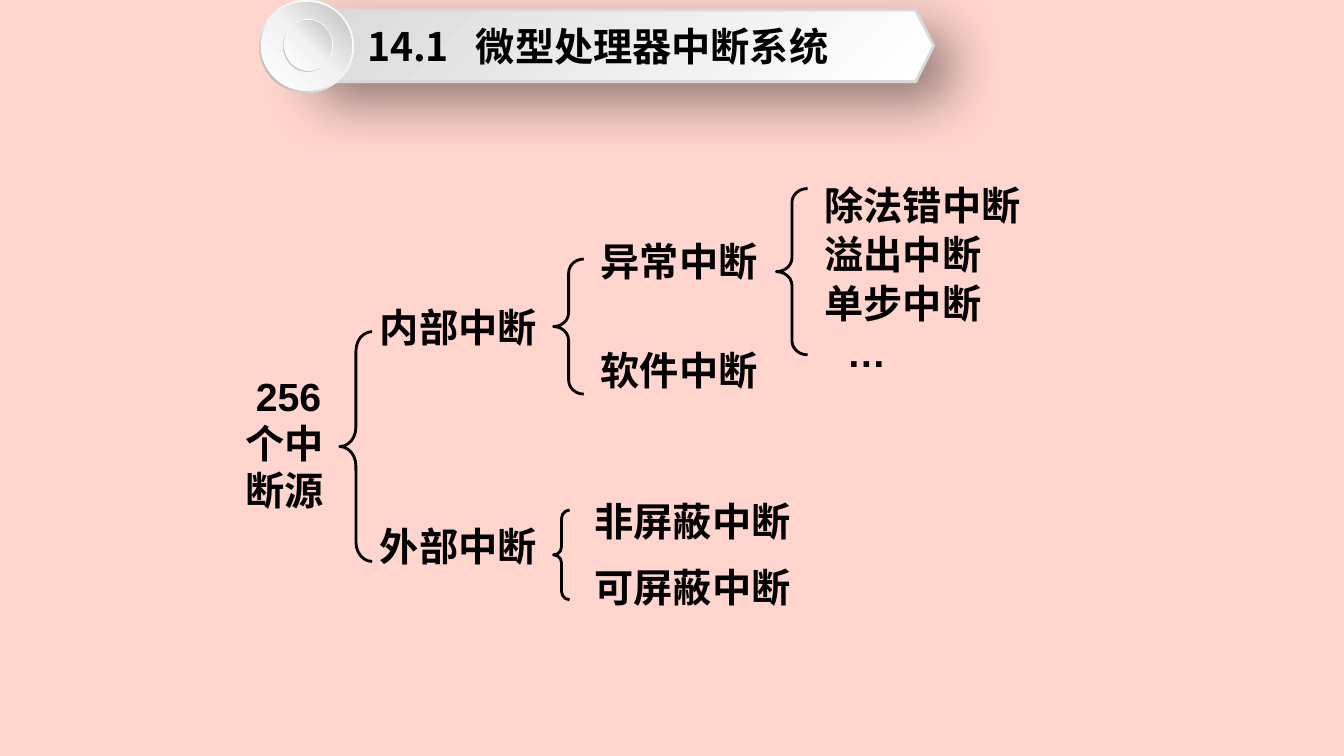
import pptx
import pptx.dml.color
import pptx.enum.lang
import pptx.enum.shapes
import pptx.enum.text
import pptx.oxml
import pptx.oxml.ns
import pptx.util
from pptx.util import Inches

SHAPE = pptx.enum.shapes.MSO_SHAPE
ANCHOR = pptx.enum.text.MSO_ANCHOR
NAMESPACE = pptx.oxml.ns.nsdecls("a")

BACKGROUND = "FFD5CD"
BLACK = "000000"
TITLE = "14.1\t微型处理器中断系统"
TITLE_TAB = 1.08

BANNER = (2.89, 0.1, 6.37, 0.71)
BANNER_STOPS = [(0, "FFFFFF"), (100, "D9D9D9")]
RIM_STOPS = [(0, "FFFFFF"), (55, "F2F2F2"), (100, "A6A6A6")]
DISC_STOPS = [(0, "FFFFFF"), (51, "F2F2F2"), (100, "BFBFBF")]
# Outer box of each rim, and how far its disc is inset
BUTTONS = [((2.57, 0, 0.94, 0.92), 0.02), ((2.81, 0.19, 0.49, 0.52), 0.01)]

# Box, points between lines, lines as (text, indent in inches)
LABELS = [
    ((2.34, 3.64, 1.17, 1.39), 0, [("256个中断源", 0.1)]),
    ((3.67, 2.96, 3.08, 3.25), 123, [("内部中断", 0), ("外部中断", 0)]),
    ((5.86, 2.31, 1.99, 1.7), 44, [("异常中断", 0), ("软件中断", 0)]),
    ((5.8, 4.88, 2.25, 1.19), 14, [("非屏蔽中断", 0), ("可屏蔽中断", 0)]),
    ((8.08, 1.75, 2.45, 2.04), 1.4,
     [("除法错中断", 0), ("溢出中断", 0), ("单步中断", 0), ("…", 0.22)]),
]

# Box, curl of the ends
BRACES = [
    ((3.37, 3.29, 0.32, 2.28), 0.6),
    ((5.49, 2.57, 0.3, 1.34), 0.46),
    ((5.49, 5.06, 0.16, 0.89), 0.51),
    ((7.7, 1.87, 0.31, 1.65), 0.44),
]


def color(value):
    return pptx.dml.color.RGBColor.from_string(value)


def place(box):
    return [Inches(length) for length in box]


def add_preset(page, preset, box, line=None):
    shape = page.shapes.add_shape(preset, *place(box))
    shape.shadow.inherit = False
    shape.fill.background()
    if line:
        shape.line.color.rgb = color(line)
        shape.line.width = pptx.util.Pt(2)
    else:
        shape.line.fill.background()
    return shape


def fill_gradient(shape, stops, angle):
    """Fill with (percent, colour) stops; the angle runs clockwise."""
    marks = "".join(
        f'<a:gs pos="{percent * 1000}"><a:srgbClr val="{value}"/></a:gs>'
        for percent, value in stops)
    gradient = pptx.oxml.parse_xml(
        f'<a:gradFill {NAMESPACE} rotWithShape="1"><a:gsLst>{marks}</a:gsLst>'
        f'<a:lin ang="{angle * 60000}" scaled="0"/></a:gradFill>')
    properties = shape.element.spPr
    blank = properties.find(pptx.oxml.ns.qn("a:noFill"))
    properties.replace(blank, gradient)


def cast_shadow(shape, opacity, blur, distance, angle):
    effects = shape.element.spPr.find(pptx.oxml.ns.qn("a:effectLst"))
    effects.append(pptx.oxml.parse_xml(
        f'<a:outerShdw {NAMESPACE} blurRad="{pptx.util.Pt(blur)}" '
        f'dist="{pptx.util.Pt(distance)}" dir="{angle * 60000}" algn="tl" '
        f'rotWithShape="0"><a:srgbClr val="{BLACK}">'
        f'<a:alpha val="{opacity * 1000}"/></a:srgbClr></a:outerShdw>'))


def write(para, text, font="Arial", size=28, bold=True, ink=BLACK):
    span = para.add_run()
    span.text = text
    span.font.size = pptx.util.Pt(size)
    span.font.bold = bold
    span.font.color.rgb = color(ink)
    span.font.name = font
    span.font.language_id = pptx.enum.lang.MSO_LANGUAGE_ID.SIMPLIFIED_CHINESE
    span.font._element.append(pptx.oxml.parse_xml(
        f'<a:ea {NAMESPACE} typeface="{font}"/>'))


def add_title(page):
    title = page.shapes.title
    title.left, title.top, title.width, title.height = place((3.64, 0.1, 5.3, 0.71))
    title.element.getparent().append(title.element)
    frame = title.text_frame
    frame.auto_size = pptx.enum.text.MSO_AUTO_SIZE.NONE
    frame.vertical_anchor = ANCHOR.MIDDLE
    frame.margin_left = frame.margin_right = 0
    para = frame.paragraphs[0]
    para.alignment = pptx.enum.text.PP_ALIGN.LEFT
    para._p.get_or_add_pPr().append(pptx.oxml.parse_xml(
        f'<a:tabLst {NAMESPACE}><a:tab pos="{Inches(TITLE_TAB)}" algn="l"/></a:tabLst>'))
    write(para, TITLE, font="Noto Sans CJK SC")


def add_header(page):
    banner = add_preset(page, SHAPE.HEXAGON, BANNER, line="D9D9D9")
    fill_gradient(banner, BANNER_STOPS, 225)
    cast_shadow(banner, opacity=42, blur=38, distance=19, angle=45)
    for (left, top, width, height), inset in BUTTONS:
        rim = add_preset(page, SHAPE.DONUT, (left, top, width, height))
        rim.adjustments[0] = 0.05
        fill_gradient(rim, RIM_STOPS, 135)
        disc = add_preset(page, SHAPE.OVAL, (left + inset, top + inset,
                                             width - 2 * inset, height - 2 * inset))
        fill_gradient(disc, DISC_STOPS, 315)
    add_title(page)


def add_label(page, box, gap, lines):
    frame = page.shapes.add_textbox(*place(box)).text_frame
    frame.word_wrap = True
    for index, (text, indent) in enumerate(lines):
        para = frame.add_paragraph() if index else frame.paragraphs[0]
        if index:
            para.space_before = pptx.util.Pt(gap)
        if indent:
            para._p.get_or_add_pPr().set("indent", str(Inches(indent)))
        write(para, text)


def main():
    deck = pptx.Presentation()
    deck.slide_width, deck.slide_height = Inches(13.33), Inches(7.5)
    page = deck.slides.add_slide(deck.slide_layouts[5])
    page.background.fill.solid()
    page.background.fill.fore_color.rgb = color(BACKGROUND)
    add_header(page)
    for box, gap, lines in LABELS:
        add_label(page, box, gap, lines)
    for box, curl in BRACES:
        brace = add_preset(page, SHAPE.LEFT_BRACE, box, line=BLACK)
        brace.adjustments[0] = curl
    deck.save("out.pptx")


if __name__ == "__main__":
    main()
